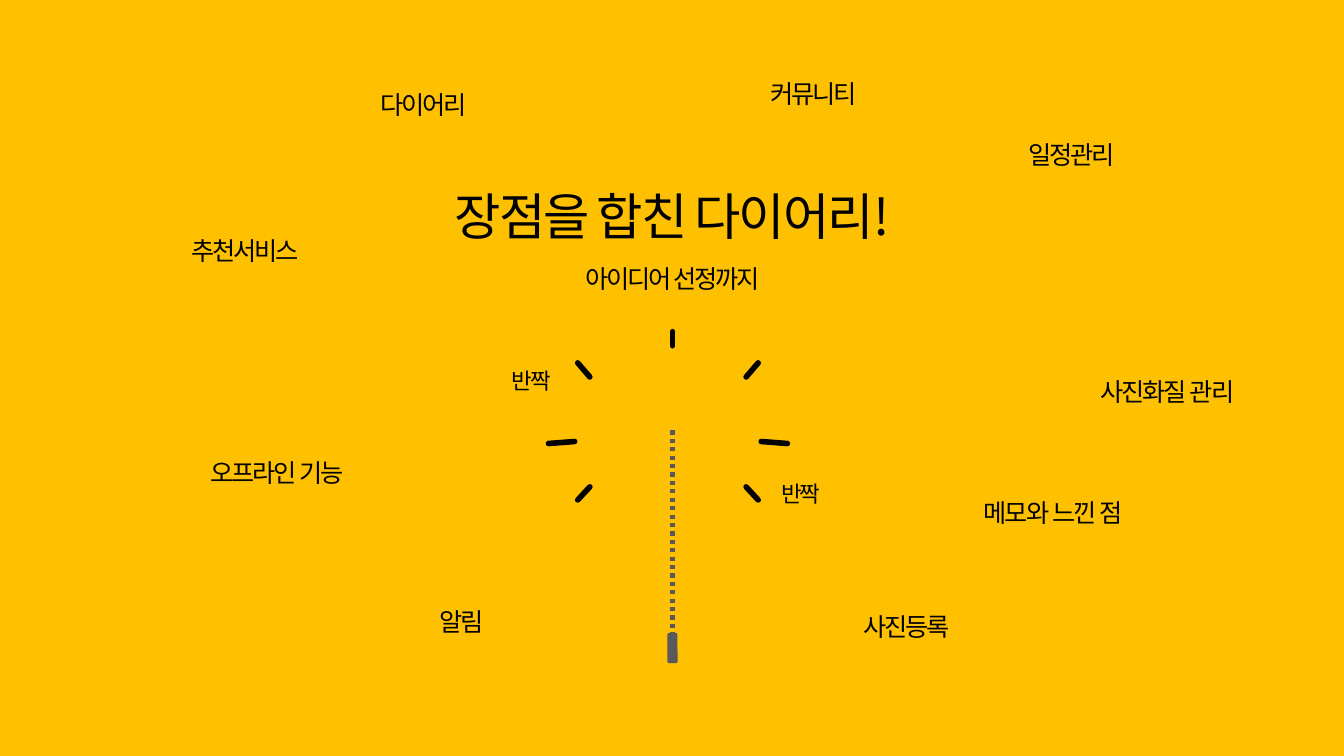
import pptx
import pptx.util
import pptx.dml.color
import pptx.enum.dml
import pptx.enum.shapes
import pptx.enum.text
import pptx.oxml.ns
import lxml.etree

Inches = pptx.util.Inches
Pt = pptx.util.Pt
ALIGN = pptx.enum.text.PP_ALIGN
DASH = pptx.enum.dml.MSO_LINE
HUES = {"back": "FFC000", "ink": "000000", "stem": "595959"}
NOTO = "Noto Sans CJK KR"


def hue(name):
    """Return the named colour."""
    return pptx.dml.color.RGBColor.from_string(HUES[name])


class Board:
    """Hold the style and the current slide."""

    def __init__(self, slide):
        """Paint the background of the slide."""
        self.slide = slide
        self.track = "-150"
        fill = slide.background.fill
        fill.solid()
        fill.fore_color.rgb = hue("back")

    def text(self, words, left, top, width, high, size, font, align=ALIGN.CENTER):
        """Add one line of tightly spaced text."""
        box = self.slide.shapes.add_textbox(*map(Inches, (left, top, width, high)))
        frame = box.text_frame
        frame.word_wrap = True
        frame.auto_size = pptx.enum.text.MSO_AUTO_SIZE.SHAPE_TO_FIT_TEXT
        para = frame.paragraphs[0]
        para.alignment = align
        run = para.add_run()
        run.text = words
        for key, value in {"size": Pt(size), "name": font}.items():
            setattr(run.font, key, value)
        run.font.color.rgb = hue("ink")
        props = run.font._element
        props.set("spc", self.track)
        east = lxml.etree.SubElement(props, pptx.oxml.ns.qn("a:ea"))
        east.set("typeface", font)

    def line(self, ends, color, width, dash=None, cap="flat", group=None):
        """Add a straight line, inside a group if one is given."""
        shapes = (group or self.slide).shapes
        kind = pptx.enum.shapes.MSO_CONNECTOR.STRAIGHT
        link = shapes.add_connector(kind, *map(Inches, ends))
        link.line.color.rgb = hue(color)
        for key, value in {"width": Pt(width), "dash_style": dash}.items():
            setattr(link.line, key, value)
        props = link._element.spPr
        props.find(pptx.oxml.ns.qn("a:ln")).set("cap", cap)
        lxml.etree.SubElement(props, pptx.oxml.ns.qn("a:effectLst"))

    def block(self, place, color, group):
        """Add a rounded block without an outline to a group."""
        kind = pptx.enum.shapes.MSO_SHAPE.ROUNDED_RECTANGLE
        shape = group.shapes.add_shape(kind, *map(Inches, place))
        shape.shadow.inherit = False
        shape.fill.solid()
        shape.fill.fore_color.rgb = hue(color)
        shape.line.fill.background()


def main():
    """Build the slide and save it."""
    deck = pptx.Presentation()
    deck.slide_width = Inches(13.33)
    deck.slide_height = Inches(7.5)
    board = Board(deck.slides.add_slide(deck.slide_layouts[6]))

    board.text("장점을 합친 다이어리!", 2.97, 1.79, 7.4, 0.71, 36, NOTO)
    board.text("아이디어 선정까지", 3.85, 2.56, 5.64, 0.4, 18, NOTO)

    wand = board.slide.shapes.add_group_shape()
    board.line((6.67, 4.27, 6.67, 6.43), "stem", 3, DASH.ROUND_DOT, group=wand)
    board.block((6.62, 6.28, 0.1, 0.3), "stem", wand)

    for left, top in ((4.98, 3.59), (7.65, 4.71)):
        board.text("반짝", left, top, 0.84, 0.37, 16, NOTO, ALIGN.LEFT)

    span = 13.25
    rays = [(5.73, 3.6, 5.85, 3.74), (5.44, 4.4, 5.7, 4.38), (5.73, 4.96, 5.85, 4.83)]
    rays += [(span - x1, y1, span - x2, y2) for x1, y1, x2, y2 in rays]
    for ray in rays + [(6.67, 3.29, 6.67, 3.43)]:
        board.line(ray, "ink", 4, cap="rnd")

    labels = [
        ("일정관리", 7.81, 1.33, 5.64),
        ("추천서비스", -0.39, 2.29, 5.64),
        ("다이어리", 1.38, 0.84, 5.64),
        ("알림", 1.76, 5.97, 5.64),
        ("커뮤니티", 5.25, 0.73, 5.64),
        ("사진화질 관리", 8.76, 3.68, 5.64),
        ("오프라인 기능", 0.37, 4.49, 4.75),
        ("메모와 느낀 점", 8.07, 4.88, 4.75),
        ("사진등록", 6.62, 6.02, 4.75),
    ]
    for words, left, top, width in labels:
        board.text(words, left, top, width, 0.4, 18, "Arial")

    deck.save("out.pptx")


if __name__ == "__main__":
    main()
